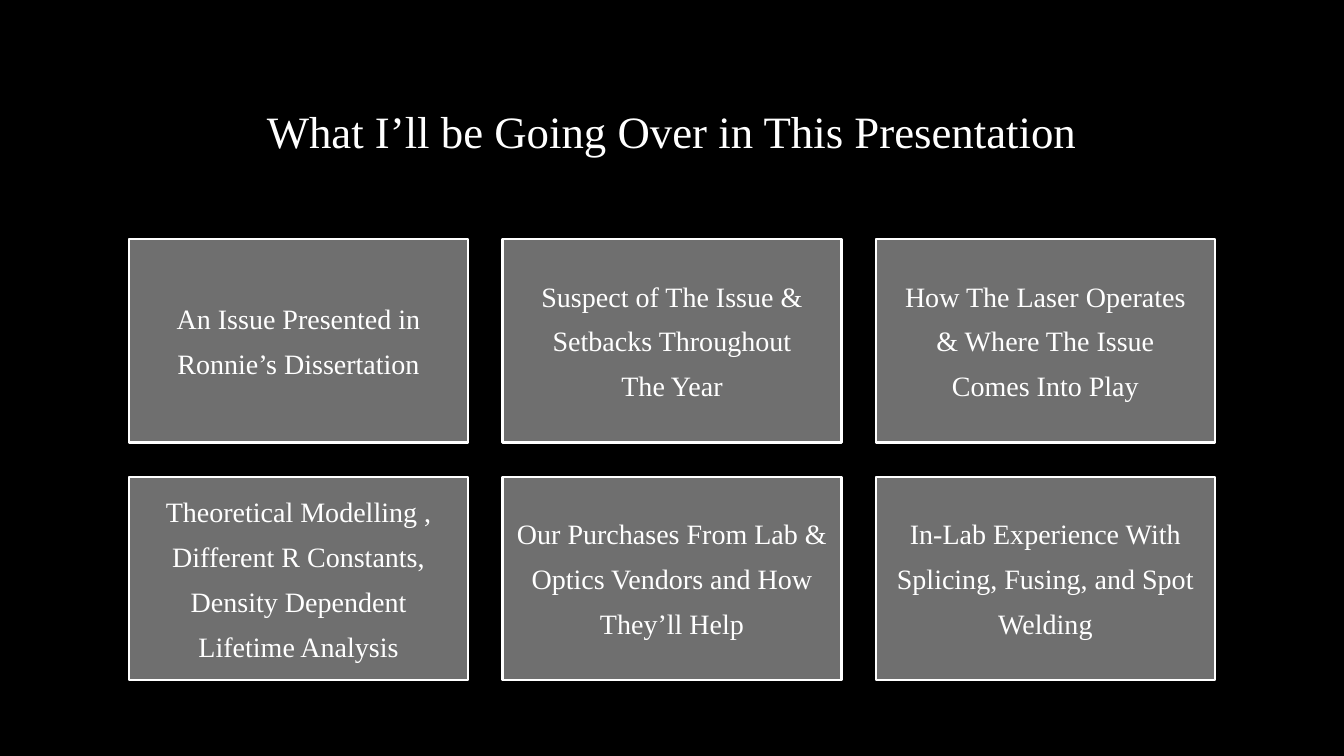
from dataclasses import dataclass

from pptx import Presentation
from pptx import util as u
from pptx.dml.color import RGBColor
from pptx.enum import shapes, text


@dataclass(frozen=True)
class Theme:
    font: str = "Times New Roman"
    background: RGBColor = RGBColor(0x00, 0x00, 0x00)
    ink: RGBColor = RGBColor(0xFF, 0xFF, 0xFF)
    card: RGBColor = RGBColor(0x6F, 0x6F, 0x6F)
    title_size: int = 32
    card_size: int = 20
    line_gap: int = 8
    border: float = 1.5


@dataclass(frozen=True)
class Box:
    left: float
    top: float
    width: float
    height: float

    def cell(self, row, column, rows, columns, gap):
        width = (self.width - gap * (columns - 1)) / columns
        height = (self.height - gap * (rows - 1)) / rows
        return Box(self.left + column * (width + gap),
                   self.top + row * (height + gap), width, height)

    def emu(self):
        return [u.Inches(n) for n in (self.left, self.top, self.width, self.height)]


THEME = Theme()
TITLE = "What I’ll be Going Over in This Presentation"
TOPICS = [
    ["An Issue Presented in", "Ronnie’s Dissertation"],
    ["Suspect of The Issue &", "Setbacks Throughout", "The Year"],
    ["How The Laser Operates", "& Where The Issue", "Comes Into Play"],
    ["Theoretical Modelling ,", "Different R Constants,", "Density Dependent", "Lifetime Analysis"],
    ["Our Purchases From Lab &", "Optics Vendors and How", "They’ll Help"],
    ["In-Lab Experience With", "Splicing, Fusing, and Spot", "Welding"],
]
COLUMNS = 3
GAP = 0.34


def write_lines(frame, lines, size, gap=0):
    frame.word_wrap = True
    frame.vertical_anchor = text.MSO_ANCHOR.MIDDLE
    frame.text = "\n".join(lines)
    for para in frame.paragraphs:
        para.alignment = text.PP_ALIGN.CENTER
        para.space_after = u.Pt(gap)
        for span in para.runs:
            span.font.name = THEME.font
            span.font.size = u.Pt(size)
            span.font.color.rgb = THEME.ink


def add_title(page, box):
    title = page.shapes.add_textbox(*box.emu())
    write_lines(title.text_frame, [TITLE], THEME.title_size)


def add_card(page, box, lines):
    card = page.shapes.add_shape(shapes.MSO_SHAPE.RECTANGLE, *box.emu())
    card.shadow.inherit = False
    card.fill.solid()
    card.fill.fore_color.rgb = THEME.card
    card.line.color.rgb = THEME.ink
    card.line.width = u.Pt(THEME.border)
    frame = card.text_frame
    frame.margin_left = frame.margin_right = u.Inches(0.08)
    frame.margin_top = frame.margin_bottom = u.Inches(0.08)
    write_lines(frame, lines, THEME.card_size, THEME.line_gap)


def add_topics(page, box):
    rows = len(TOPICS) // COLUMNS
    for index, lines in enumerate(TOPICS):
        row, column = divmod(index, COLUMNS)
        add_card(page, box.cell(row, column, rows, COLUMNS, GAP), lines)


def main():
    deck = Presentation()
    deck.slide_width = u.Inches(13.33)
    deck.slide_height = u.Inches(7.5)
    page = deck.slides.add_slide(deck.slide_layouts[6])
    page.background.fill.solid()
    page.background.fill.fore_color.rgb = THEME.background
    add_title(page, Box(1.25, 0.67, 10.83, 1.25))
    add_topics(page, Box(1.28, 2.37, 10.77, 4.38))
    deck.save("out.pptx")


if __name__ == "__main__":
    main()
